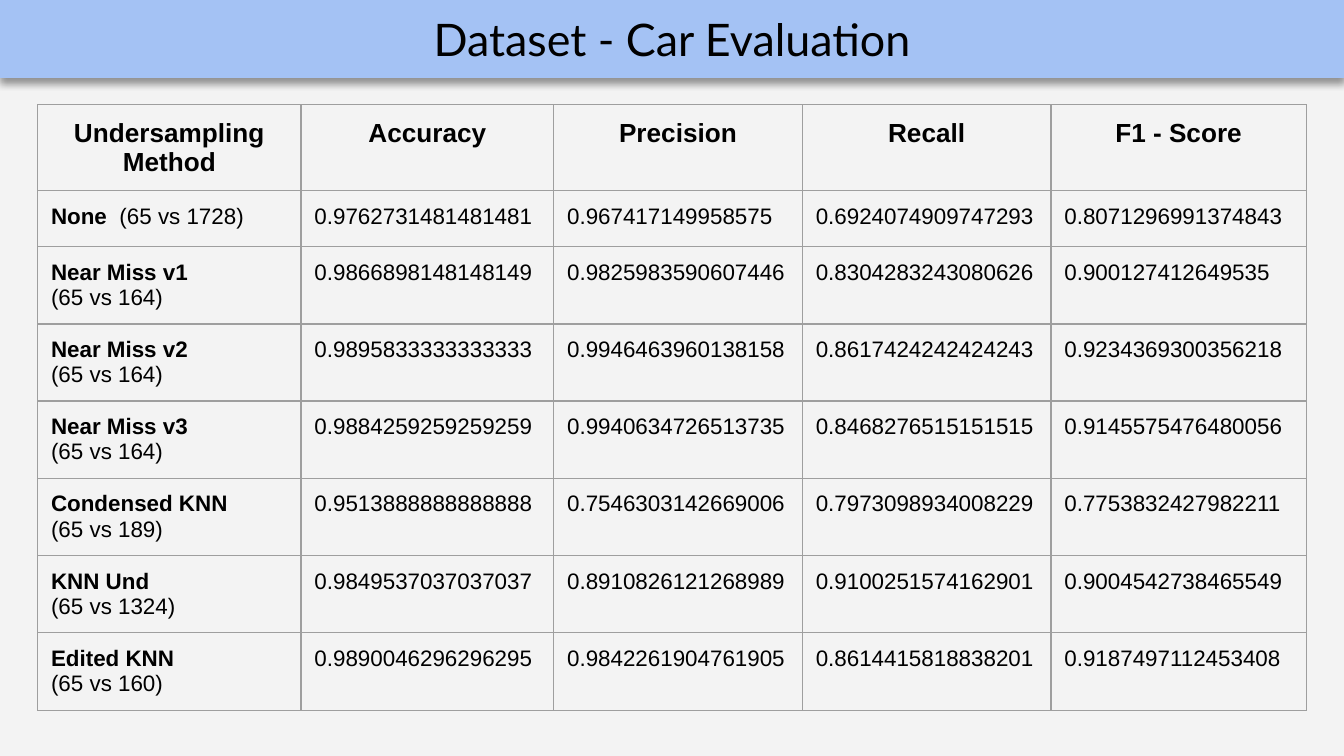
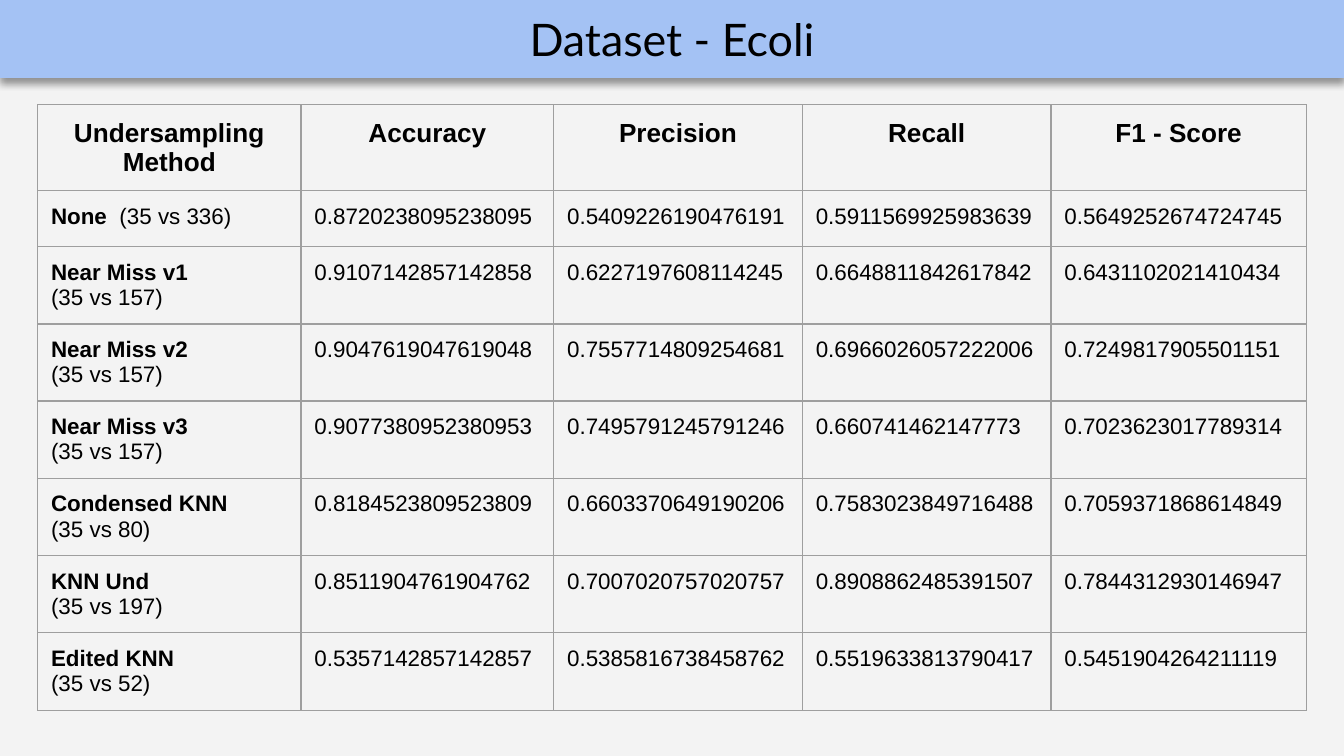
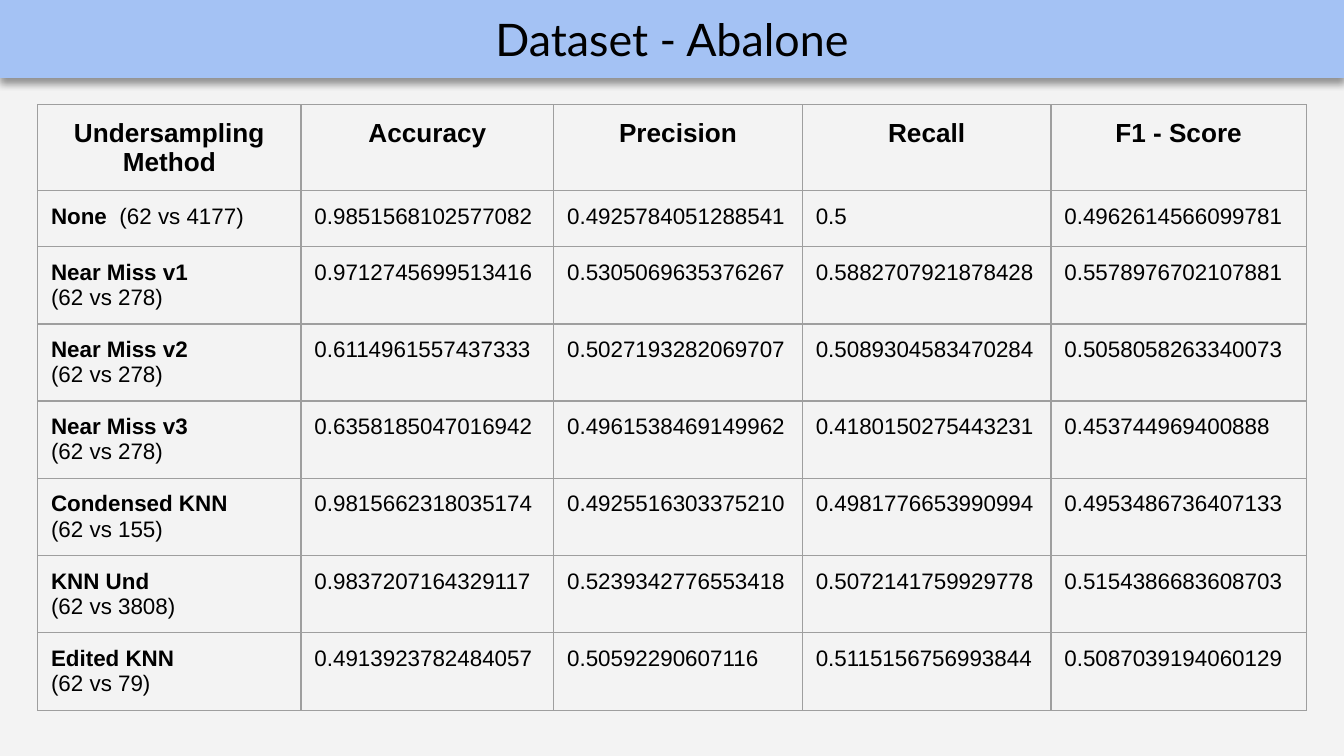
from copy import deepcopy
from dataclasses import dataclass

from lxml import etree
from pptx import Presentation
from pptx.dml.color import RGBColor
from pptx.enum.text import MSO_ANCHOR, MSO_AUTO_SIZE, PP_ALIGN
from pptx.oxml.ns import qn
from pptx.util import Inches, Pt

CENTER, LEFT = PP_ALIGN.CENTER, PP_ALIGN.LEFT
MIDDLE = MSO_ANCHOR.MIDDLE
NO_AUTOFIT = MSO_AUTO_SIZE.NONE

COLORS = {
    "background": "F3F3F3",
    "band": "A4C2F4",
    "text": "000000",
    "border": "9E9E9E",
    "shadow": "000000",
}
TITLE_FONT = {"name": "Lato", "size": Pt(24), "bold": False}
HEADER_FONT = {"name": "Arial", "size": Pt(14), "bold": True}
METHOD_FONT = {"name": "Arial", "size": Pt(12), "bold": True}
VALUE_FONT = {"name": "Arial", "size": Pt(12), "bold": False}
MARGINS = dict.fromkeys(
    ("margin_left", "margin_top", "margin_right", "margin_bottom"), Inches(0.1)
)

GRID_COLUMNS, GRID_ROWS = 1000, 562.5
SLIDE_WIDTH = Inches(10)
SLIDE_HEIGHT = SLIDE_WIDTH * 9 // 16
BAND_ROWS = 58
TABLE_COLUMN, TABLE_ROW = 28, 78
METRIC_COLUMNS = (196, 188, 185, 185, 190)
METHOD_ROWS = (59, *[42] * 6, 58)
BORDER_WIDTH = Pt(0.75)
BORDER_SIDES = ("a:lnL", "a:lnR", "a:lnT", "a:lnB")
SHADOW = {"blurRad": Pt(4), "dist": Pt(3), "dir": 90 * 60000, "algn": "bl", "rotWithShape": 0}
SHADOW_ALPHA = 40000

HEADERS = ("Undersampling Method", "Accuracy", "Precision", "Recall", "F1 - Score")
METHODS = (
    "None", "Near Miss v1", "Near Miss v2", "Near Miss v3",
    "Condensed KNN", "KNN Und", "Edited KNN",
)


@dataclass(frozen=True)
class Result:
    majority: int
    scores: tuple[str, str, str, str]


@dataclass(frozen=True)
class Dataset:
    name: str
    minority: int
    results: tuple[Result, ...]


DATASETS = (
    Dataset("Car Evaluation", 65, (
        Result(1728, ("0.9762731481481481", "0.967417149958575", "0.6924074909747293", "0.8071296991374843")),
        Result(164, ("0.9866898148148149", "0.9825983590607446", "0.8304283243080626", "0.900127412649535")),
        Result(164, ("0.9895833333333333", "0.9946463960138158", "0.8617424242424243", "0.9234369300356218")),
        Result(164, ("0.9884259259259259", "0.9940634726513735", "0.8468276515151515", "0.9145575476480056")),
        Result(189, ("0.9513888888888888", "0.7546303142669006", "0.7973098934008229", "0.7753832427982211")),
        Result(1324, ("0.9849537037037037", "0.8910826121268989", "0.9100251574162901", "0.9004542738465549")),
        Result(160, ("0.9890046296296295", "0.9842261904761905", "0.8614415818838201", "0.9187497112453408")),
    )),
    Dataset("Ecoli", 35, (
        Result(336, ("0.8720238095238095", "0.5409226190476191", "0.5911569925983639", "0.5649252674724745")),
        Result(157, ("0.9107142857142858", "0.6227197608114245", "0.6648811842617842", "0.6431102021410434")),
        Result(157, ("0.9047619047619048", "0.7557714809254681", "0.6966026057222006", "0.7249817905501151")),
        Result(157, ("0.9077380952380953", "0.7495791245791246", "0.660741462147773", "0.7023623017789314")),
        Result(80, ("0.8184523809523809", "0.6603370649190206", "0.7583023849716488", "0.7059371868614849")),
        Result(197, ("0.8511904761904762", "0.7007020757020757", "0.8908862485391507", "0.7844312930146947")),
        Result(52, ("0.5357142857142857", "0.5385816738458762", "0.5519633813790417", "0.5451904264211119")),
    )),
    Dataset("Abalone", 62, (
        Result(4177, ("0.9851568102577082", "0.4925784051288541", "0.5", "0.4962614566099781")),
        Result(278, ("0.9712745699513416", "0.5305069635376267", "0.5882707921878428", "0.5578976702107881")),
        Result(278, ("0.6114961557437333", "0.5027193282069707", "0.5089304583470284", "0.5058058263340073")),
        Result(278, ("0.6358185047016942", "0.4961538469149962", "0.4180150275443231", "0.453744969400888")),
        Result(155, ("0.9815662318035174", "0.4925516303375210", "0.4981776653990994", "0.4953486736407133")),
        Result(3808, ("0.9837207164329117", "0.5239342776553418", "0.5072141759929778", "0.5154386683608703")),
        Result(79, ("0.4913923782484057", "0.50592290607116", "0.5115156756993844", "0.5087039194060129")),
    )),
)


def across(columns: float) -> int:
    return round(SLIDE_WIDTH * columns / GRID_COLUMNS)


def down(rows: float) -> int:
    return round(SLIDE_HEIGHT * rows / GRID_ROWS)


def color(part: str) -> RGBColor:
    return RGBColor.from_string(COLORS[part])


def apply_format(target, values: dict) -> None:
    for attribute, value in values.items():
        setattr(target, attribute, value)


def add_text(paragraph, text: str, font: dict):
    run = paragraph.add_run()
    run.text = text
    apply_format(run.font, font)
    run.font.color.rgb = color("text")
    return run


def add_color_xml(parent, part: str):
    return etree.SubElement(parent, qn("a:srgbClr"), val=COLORS[part])


def cast_shadow(shape) -> None:
    shape.shadow.inherit = False
    effects = shape._element.spPr.find(qn("a:effectLst"))
    outer = etree.SubElement(
        effects, qn("a:outerShdw"), {key: str(value) for key, value in SHADOW.items()}
    )
    etree.SubElement(add_color_xml(outer, "shadow"), qn("a:alpha"), val=str(SHADOW_ALPHA))


def draw_title(slide, dataset: Dataset) -> None:
    band = slide.shapes.title
    apply_format(band, {"left": 0, "top": 0, "width": SLIDE_WIDTH, "height": down(BAND_ROWS)})
    band.fill.solid()
    band.fill.fore_color.rgb = color("band")
    band.line.fill.background()
    cast_shadow(band)
    frame = band.text_frame
    apply_format(frame, {
        **MARGINS, "word_wrap": True, "auto_size": NO_AUTOFIT, "vertical_anchor": MIDDLE,
    })
    heading = frame.paragraphs[0]
    heading.alignment = CENTER
    add_text(heading, f"Dataset - {dataset.name}", TITLE_FONT)


def outline_cell(cell) -> None:
    cell.fill.background()
    properties = cell._tc.get_or_add_tcPr()
    for position, side in enumerate(BORDER_SIDES):
        border = etree.Element(qn(side), w=str(BORDER_WIDTH))
        add_color_xml(etree.SubElement(border, qn("a:solidFill")), "border")
        properties.insert(position, border)


def start_cell(cell, alignment):
    apply_format(cell, MARGINS)
    outline_cell(cell)
    paragraph = cell.text_frame.paragraphs[0]
    paragraph.alignment = alignment
    return paragraph


def write_method(cell, method: str, sizes: str) -> None:
    paragraph = start_cell(cell, LEFT)
    if method == "None":
        add_text(paragraph, f"{method} ", METHOD_FONT)
        add_text(paragraph, f" {sizes}", VALUE_FONT)
        return
    name = add_text(paragraph, method, METHOD_FONT)
    paragraph.add_line_break()
    line_break = paragraph._p.find(qn("a:br"))
    line_break.append(deepcopy(name._r.find(qn("a:rPr"))))
    add_text(paragraph, sizes, VALUE_FONT)


def draw_scores(slide, dataset: Dataset) -> None:
    table = slide.shapes.add_table(
        len(METHOD_ROWS), len(METRIC_COLUMNS), across(TABLE_COLUMN), down(TABLE_ROW),
        across(sum(METRIC_COLUMNS)), down(sum(METHOD_ROWS)),
    ).table
    apply_format(table, {"first_row": False, "horz_banding": False})
    for column, width in zip(table.columns, METRIC_COLUMNS):
        column.width = across(width)
    for row, height in zip(table.rows, METHOD_ROWS):
        row.height = down(height)
    for column, header in enumerate(HEADERS):
        add_text(start_cell(table.cell(0, column), CENTER), header, HEADER_FONT)
    for row, (method, result) in enumerate(zip(METHODS, dataset.results), start=1):
        sizes = f"({dataset.minority} vs {result.majority})"
        write_method(table.cell(row, 0), method, sizes)
        for column, score in enumerate(result.scores, start=1):
            add_text(start_cell(table.cell(row, column), LEFT), score, VALUE_FONT)


def main() -> None:
    deck = Presentation()
    apply_format(deck, {"slide_width": SLIDE_WIDTH, "slide_height": SLIDE_HEIGHT})
    backdrop = deck.slide_master.background.fill
    backdrop.solid()
    backdrop.fore_color.rgb = color("background")
    title_only = deck.slide_layouts.get_by_name("Title Only")
    for dataset in DATASETS:
        slide = deck.slides.add_slide(title_only)
        draw_title(slide, dataset)
        draw_scores(slide, dataset)
    deck.save("out.pptx")


if __name__ == "__main__":
    main()
